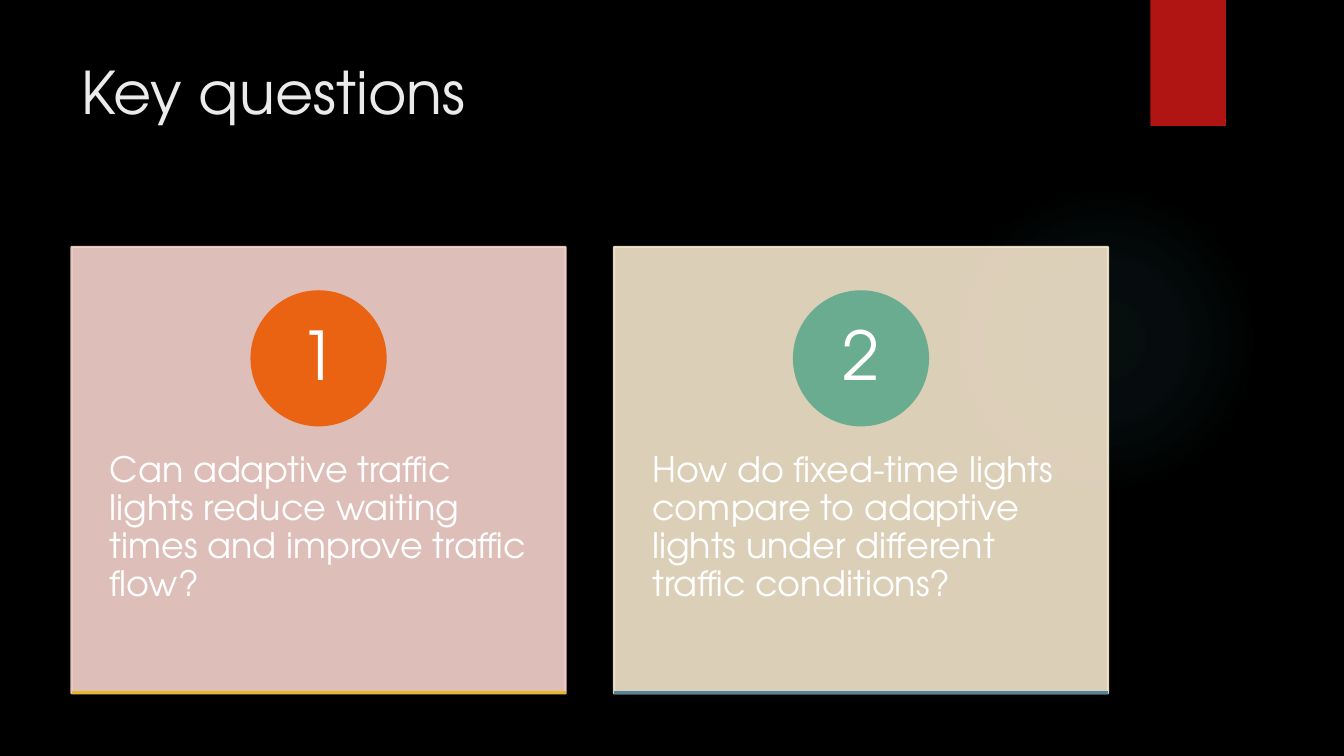
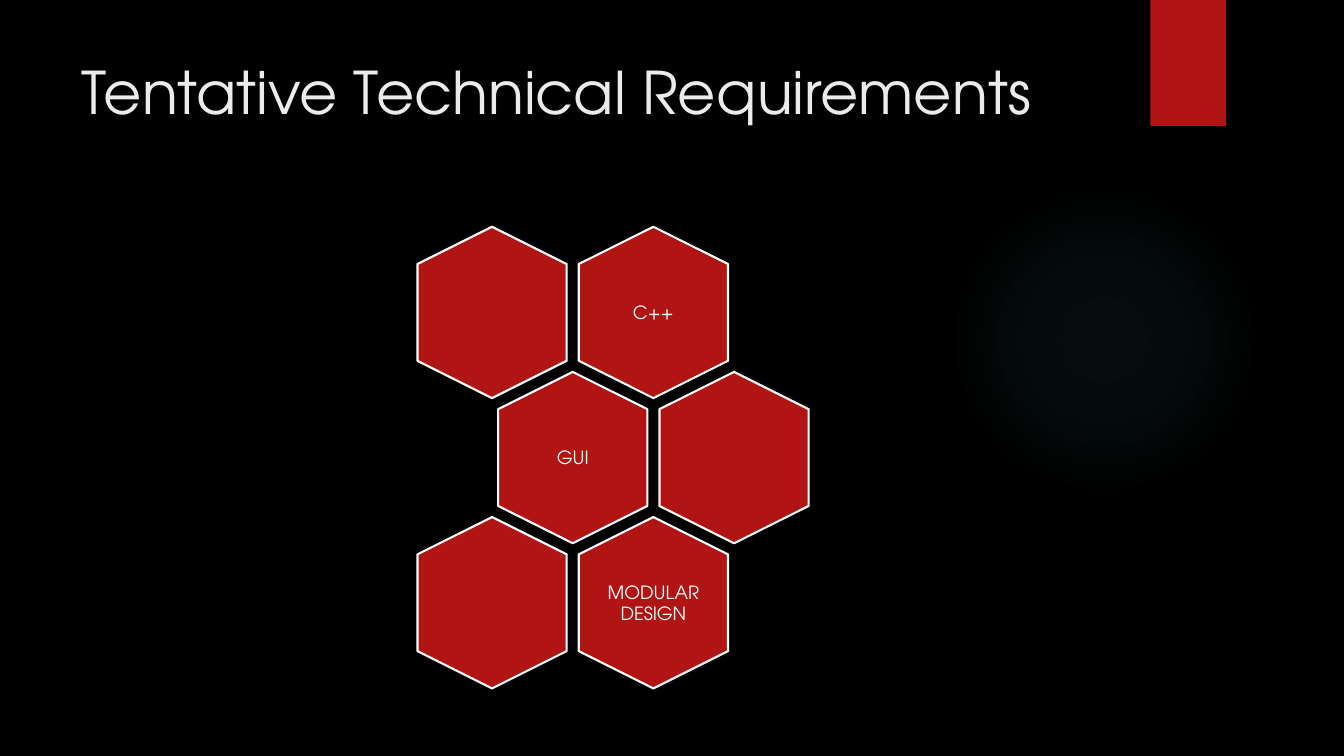
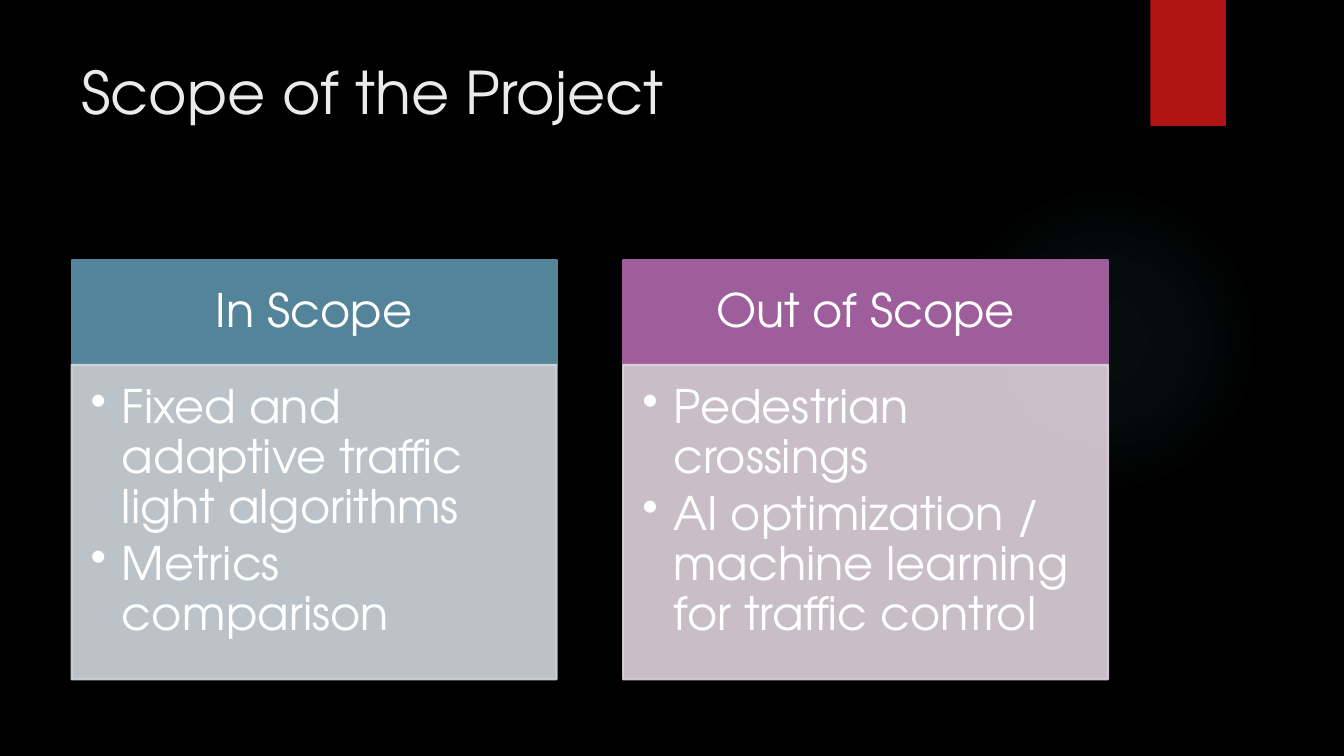
from lxml import etree
from pptx import Presentation
from pptx.dml.color import RGBColor
from pptx.enum.shapes import MSO_CONNECTOR, MSO_SHAPE
from pptx.enum.text import MSO_ANCHOR, MSO_AUTO_SIZE, PP_ALIGN
from pptx.oxml import parse_xml
from pptx.oxml.ns import qn
from pptx.util import Inches, Pt

RECT, OVAL, HEXAGON = MSO_SHAPE.RECTANGLE, MSO_SHAPE.OVAL, MSO_SHAPE.HEXAGON
LEFT, CENTER = PP_ALIGN.LEFT, PP_ALIGN.CENTER
TOP, MIDDLE = MSO_ANCHOR.TOP, MSO_ANCHOR.MIDDLE

FONT = "TeX Gyre Adventor"
COLORS = {
    "background": "000000", "title": "EBEBEB", "text": "FFFFFF",
    "red": "B01513", "glow": "50B9C1", "orange": "EA6312",
    "green": "6AAC90", "yellow": "E6B729", "blue": "54849A",
    "purple": "9E5E9B", "pale pink": "F7D3CC", "pale sand": "F5E6CD",
    "pale blue": "D1D9DE", "pale purple": "DFD2DE",
}

QUESTIONS = [
    ("Can adaptive traffic lights reduce waiting times and improve traffic flow?",
     "pale pink", "orange", "yellow"),
    ("How do fixed-time lights compare to adaptive lights under different "
     "traffic conditions?", "pale sand", "green", "blue"),
]
REQUIREMENT_ROWS = [["", "C++"], ["GUI", ""], ["", "MODULAR DESIGN"]]
SCOPES = [
    ("In Scope",
     ["Fixed and adaptive traffic light algorithms", "Metrics comparison"],
     "blue", "pale blue"),
    ("Out of Scope",
     ["Pedestrian crossings",
      "AI optimization / machine learning for traffic control"],
     "purple", "pale purple"),
]

SLIDE_W, SLIDE_H = 13.33, 7.5
CONTENT_LEFT, CONTENT_W = 0.71, 10.28
LINE_PT = 1.5
GLOW_STOPS = [(0, 7), (36, 6), (69, 0)]  # position and opacity, in percent


def rgb(name):
    return RGBColor.from_string(COLORS[name])


def set_opacity(fill_format, percent):
    color = fill_format._xPr.find(qn("a:solidFill"))[0]
    etree.SubElement(color, qn("a:alpha"), val=str(percent * 1000))


def add_block(slide, kind, box, fill, line=None, opacity=100):
    block = slide.shapes.add_shape(kind, *map(Inches, box))
    block.shadow.inherit = False
    block.fill.solid()
    block.fill.fore_color.rgb = rgb(fill)
    if line:
        block.line.color.rgb = rgb(line)
        block.line.width = Pt(LINE_PT)
    else:
        block.line.fill.background()
    if opacity < 100:
        set_opacity(block.fill, opacity)
        set_opacity(block.line.fill, opacity)
    return block


def write(shape, paragraphs, size, color="text", align=LEFT, anchor=TOP,
          insets=(0.1, 0.05, 0.1, 0.05), spacing=1.0, bullets=False):
    """Fill a shape with styled text; insets run left, top, right, bottom."""
    frame = shape.text_frame
    frame.text = "\n".join(paragraphs)
    frame.word_wrap = True
    frame.auto_size = MSO_AUTO_SIZE.NONE
    frame.vertical_anchor = anchor
    (frame.margin_left, frame.margin_top,
     frame.margin_right, frame.margin_bottom) = map(Inches, insets)
    for paragraph in frame.paragraphs:
        paragraph.alignment = align
        paragraph.line_spacing = spacing
        if bullets:
            paragraph.space_after = Pt(5)
            properties = paragraph._p.get_or_add_pPr()
            properties.set("marL", str(Inches(0.31)))
            properties.set("indent", str(-Inches(0.31)))
            etree.SubElement(properties, qn("a:buChar"), char="•")
        for run in paragraph.runs:
            run.font.name = FONT
            run.font.size = Pt(size)
            run.font.color.rgb = rgb(color)


def column_lefts(count, width):
    """Left edges of equal columns spread over the content width."""
    step = (CONTENT_W - width) / (count - 1)
    return [CONTENT_LEFT + step * i for i in range(count)]


def decorate_layout(layout, slide):
    """Move the glow and the ribbon, drawn on a slide, to the shared layout."""
    layout.background.fill.solid()
    layout.background.fill.fore_color.rgb = rgb("background")
    glow = add_block(slide, OVAL, (9.41, 1.83, 3.08, 3.08), "glow")
    stops = "".join(
        f'<a:gs pos="{position * 1000}"><a:srgbClr val="{COLORS["glow"]}">'
        f'<a:alpha val="{opacity * 1000}"/></a:srgbClr></a:gs>'
        for position, opacity in GLOW_STOPS)
    gradient = parse_xml(
        '<a:gradFill xmlns:a="http://schemas.openxmlformats.org/drawingml/2006/main">'
        f'<a:gsLst>{stops}</a:gsLst><a:path path="circle">'
        '<a:fillToRect l="50000" t="50000" r="50000" b="50000"/></a:path></a:gradFill>')
    properties = glow._element.spPr
    properties.replace(properties.find(qn("a:solidFill")), gradient)
    ribbon = add_block(slide, RECT, (11.41, 0, 0.75, 1.25), "red")
    for decoration in (glow, ribbon):
        layout.shapes._spTree.append(decoration._element)


def add_titled_slide(deck, layout, title):
    slide = deck.slides.add_slide(layout)
    heading = slide.shapes.title
    heading.left, heading.top = Inches(CONTENT_LEFT), Inches(0.5)
    heading.width, heading.height = Inches(CONTENT_W), Inches(1.53)
    write(heading, [title], 42, "title")
    return slide


def draw_questions(slide):
    top, width, height, badge = 2.45, 4.9, 4.43, 1.33
    lefts = column_lefts(len(QUESTIONS), width)
    for number, (left, question) in enumerate(zip(lefts, QUESTIONS), 1):
        text, card_color, badge_color, rule_color = question
        card = add_block(slide, RECT, (left, top, width, height),
                         card_color, card_color, 90)
        write(card, [text], 25, insets=(0.38, 2.04, 0.38, 0.45), spacing=0.9)
        circle = add_block(
            slide, OVAL, (left + (width - badge) / 2, top + 0.44, badge, badge),
            badge_color, badge_color)
        write(circle, [str(number)], 48, align=CENTER, anchor=MIDDLE,
              insets=(0.1, 0.01, 0.1, 0.01), spacing=0.9)
        bottom = Inches(top + height - 0.01)
        rule = slide.shapes.add_connector(
            MSO_CONNECTOR.STRAIGHT, Inches(left), bottom,
            Inches(left + width), bottom)
        rule.line.color.rgb = rgb(rule_color)
        rule.line.width = Pt(LINE_PT)
        etree.SubElement(rule._element.spPr, qn("a:effectLst"))


def draw_requirements(slide):
    long_side, short_side = 1.7, 1.48
    label_w, label_h = 1.02, 1.17
    column_step, row_step = 1.6, 1.44
    for row, labels in enumerate(REQUIREMENT_ROWS):
        center_y = 3.1 + row * row_step
        for column, label in enumerate(labels):
            center_x = 4.88 + (column + row % 2 / 2) * column_step
            cell = add_block(
                slide, HEXAGON,
                (center_x - long_side / 2, center_y - short_side / 2,
                 long_side, short_side), "red", "text")
            cell.rotation = 90
            cell.adjustments[0] = 0.25
            if label:
                caption = slide.shapes.add_textbox(
                    Inches(center_x - label_w / 2), Inches(center_y - label_h / 2),
                    Inches(label_w), Inches(label_h))
                write(caption, [label], 13, align=CENTER, anchor=MIDDLE,
                      insets=(0.05,) * 4)


def draw_scopes(slide):
    top, width, header_h, body_h = 2.58, 4.81, 1.04, 3.12
    lefts = column_lefts(len(SCOPES), width)
    for left, (heading, items, header_color, body_color) in zip(lefts, SCOPES):
        header = add_block(slide, RECT, (left, top, width, header_h),
                           header_color, header_color)
        write(header, [heading], 33, align=CENTER, anchor=MIDDLE,
              insets=(0.26, 0.15, 0.26, 0.15), spacing=0.9)
        body = add_block(slide, RECT, (left, top + header_h, width, body_h),
                         body_color, body_color, 90)
        write(body, items, 33, insets=(0.19, 0.19, 0.26, 0.29),
              spacing=0.9, bullets=True)


SLIDES = [
    ("Key questions", draw_questions),
    ("Tentative Technical Requirements", draw_requirements),
    ("Scope of the Project", draw_scopes),
]


def main():
    deck = Presentation()
    deck.slide_width, deck.slide_height = Inches(SLIDE_W), Inches(SLIDE_H)
    layout = deck.slide_layouts.get_by_name("Title Only")
    for index, (title, draw) in enumerate(SLIDES):
        slide = add_titled_slide(deck, layout, title)
        if index == 0:
            decorate_layout(layout, slide)
        draw(slide)
    deck.save("out.pptx")


if __name__ == "__main__":
    main()
